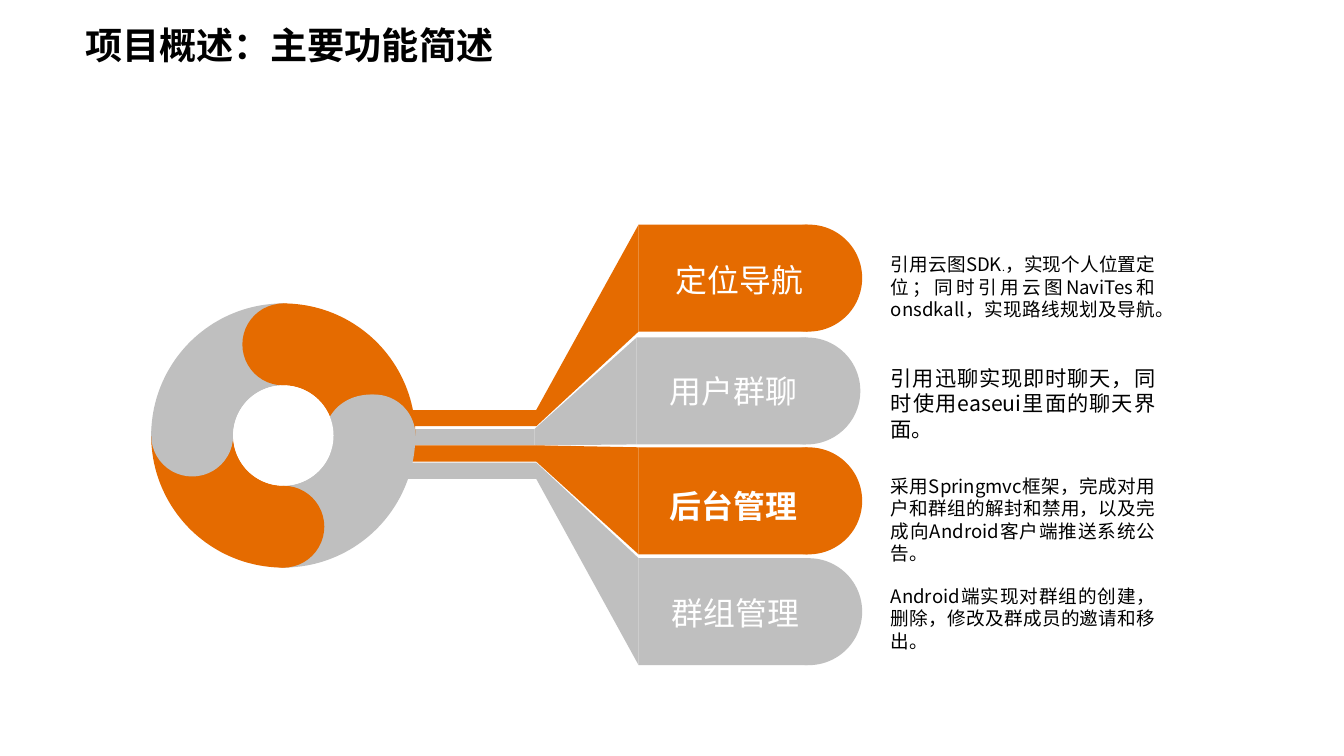
import math
from dataclasses import dataclass

from lxml import etree
from pptx import Presentation, util as u
from pptx.dml.color import RGBColor
from pptx.enum import shapes, text
from pptx.oxml.ns import qn

Pt = u.Pt


@dataclass(frozen=True)
class Theme:
    orange: str = "E56B00"
    gray: str = "BFBFBF"
    white: str = "FFFFFF"
    black: str = "000000"
    title: int = 28
    label: int = 24
    large: int = 16
    body: int = 14
    tiny: int = 8
    cjk: str = "Noto Sans CJK SC"
    heading: str = "Arial"
    caption: str = "Calibri"


THEME = Theme()
BAND_COLORS = [THEME.orange, THEME.gray] * 2

TAB_LEFT, TAB_WIDTH, TAB_HEIGHT = 481, 127.4, 80.6
CAP_LEFT = 568.8
STEM_LEFT, STEM_WIDTH, STEM_HEIGHT = 307.4, 96.5, 12.24
BANDS = [
    (0, 169.2, 308.9),
    (-1.4, 254.2, 323.3),
    (0, 337, 335.5),
    (0, 420.5, 348.5),
]

RING_X, RING_Y = 213.4, 328.1
RING_OUTER, RING_INNER = 99.5, 37.8
BEAD = RING_OUTER - RING_INNER
RING_MIDDLE = (RING_OUTER + RING_INNER) / 2
LAST_BEAD_EXTRA = 6.5

LABELS = [
    ("定位导航", (501.8, 195.2, 122.4, 31.7), THEME.heading, False),
    ("用户群聊", (497.5, 275.2, 148.3, 38.9), THEME.heading, False),
    ("后台管理", (497.5, 362.9, 115.9, 36), THEME.caption, True),
    ("群组管理", (499, 443.5, 131.8, 36), THEME.caption, False),
]

DESCRIPTION_LEFT, DESCRIPTION_WIDTH = 671, 199.4
DESCRIPTIONS = [
    (190.8, 61.2, [
        ("引用云图SDK", THEME.body),
        (".", THEME.tiny),
        ("，实现个人位置定位；同时引用云图NaviTes和onsdkall，实现路线规划及导航。", THEME.body),
    ]),
    (275, 69.8, [("引用迅聊实现即时聊天，同时使用easeui里面的聊天界面。", THEME.large)]),
    (357.8, 81.4, [
        ("采用Springmvc框架，完成对用户和群组的解封和禁用，以及完成向Android客户端推送系统公告。", THEME.body),
    ]),
    (440.6, 61.2, [("Android端实现对群组的创建，删除，修改及群成员的邀请和移出。", THEME.body)]),
]


def paint(part, color):
    part.shadow.inherit = False
    part.fill.solid()
    part.fill.fore_color.rgb = RGBColor.from_string(color)
    part.line.fill.background()


def add_block(slide, kind, left, top, width, height, color):
    block = slide.shapes.add_shape(kind, Pt(left), Pt(top), Pt(width), Pt(height))
    paint(block, color)


def add_outline(slide, points, color):
    corners = [(Pt(x), Pt(y)) for x, y in points]
    builder = slide.shapes.build_freeform(*corners[0])
    builder.add_line_segments(corners[1:], close=True)
    paint(builder.convert_to_shape(), color)


def add_text(slide, runs, frame, *, color=THEME.black, font=THEME.cjk, bold=False,
             align=text.PP_ALIGN.LEFT, anchor=text.MSO_ANCHOR.MIDDLE, inset=(0, 0)):
    box = slide.shapes.add_textbox(*(Pt(length) for length in frame))
    body = box.text_frame
    body.word_wrap = True
    body.vertical_anchor = anchor
    body.margin_left = body.margin_right = Pt(inset[0])
    body.margin_top = body.margin_bottom = Pt(inset[1])
    paragraph = body.paragraphs[0]
    paragraph.alignment = align
    for words, size in runs:
        run = paragraph.add_run()
        run.text = words
        run.font.size = Pt(size)
        run.font.bold = bold
        run.font.name = font
        run.font.color.rgb = RGBColor.from_string(color)
        east_asian = etree.SubElement(run.font._element, qn("a:ea"))
        east_asian.set("typeface", THEME.cjk)


def polar(center_x, center_y, radius, degrees):
    angle = math.radians(degrees)
    return center_x + radius * math.cos(angle), center_y - radius * math.sin(angle)


def arc(center_x, center_y, radius, start, end, steps=45):
    return [
        polar(center_x, center_y, radius, start + (end - start) * step / steps)
        for step in range(steps + 1)
    ]


def add_band(slide, shift, tab_top, stem_top, color):
    rectangle = shapes.MSO_SHAPE.RECTANGLE
    tab_left = TAB_LEFT + shift
    stem_left = STEM_LEFT + shift
    stem_right = stem_left + STEM_WIDTH
    add_block(slide, rectangle, tab_left, tab_top, TAB_WIDTH, TAB_HEIGHT, color)
    add_block(slide, rectangle, stem_left, stem_top, STEM_WIDTH, STEM_HEIGHT, color)
    add_outline(slide, [
        (stem_right, stem_top),
        (tab_left, tab_top),
        (tab_left, tab_top + TAB_HEIGHT),
        (stem_right, stem_top + STEM_HEIGHT),
    ], color)
    add_block(slide, shapes.MSO_SHAPE.OVAL, CAP_LEFT + shift, tab_top,
              TAB_HEIGHT, TAB_HEIGHT, color)


def add_ring(slide):
    oval = shapes.MSO_SHAPE.OVAL
    beads = []
    for quarter, color in enumerate(BAND_COLORS):
        start, end = quarter * 90, quarter * 90 + 90
        bead_x, bead_y = polar(RING_X, RING_Y, RING_MIDDLE, end)
        add_outline(slide, [
            *arc(RING_X, RING_Y, RING_OUTER, start, end),
            *arc(bead_x, bead_y, BEAD / 2, end, end + 180),
            *arc(RING_X, RING_Y, RING_INNER, end, start),
        ], color)
        extra = LAST_BEAD_EXTRA if end == 360 else 0
        beads.append((bead_x - BEAD / 2 - extra, bead_y - BEAD / 2, BEAD + extra, BEAD, color))
    for bead in beads:
        add_block(slide, oval, *bead)
    add_block(slide, oval, RING_X - RING_INNER, RING_Y - RING_INNER,
              2 * RING_INNER, 2 * RING_INNER, THEME.white)


def main():
    deck = Presentation()
    deck.slide_width, deck.slide_height = Pt(1012.32), Pt(569.52)
    slide = deck.slides.add_slide(deck.slide_layouts[6])

    for top, height, runs in DESCRIPTIONS:
        add_text(slide, runs, (DESCRIPTION_LEFT, top, DESCRIPTION_WIDTH, height),
                 align=text.PP_ALIGN.JUSTIFY, anchor=text.MSO_ANCHOR.TOP)
    for band, color in zip(BANDS, BAND_COLORS):
        add_band(slide, *band, color)
    add_ring(slide)
    add_text(slide, [("项目概述：主要功能简述", THEME.title)], (64.1, 16.6, 311.8, 33.8),
             font=THEME.heading, bold=True)
    for words, frame, font, bold in LABELS:
        add_text(slide, [(words, THEME.label)], frame, color=THEME.white,
                 font=font, bold=bold, inset=(7.2, 3.6))

    deck.save("out.pptx")


if __name__ == "__main__":
    main()
